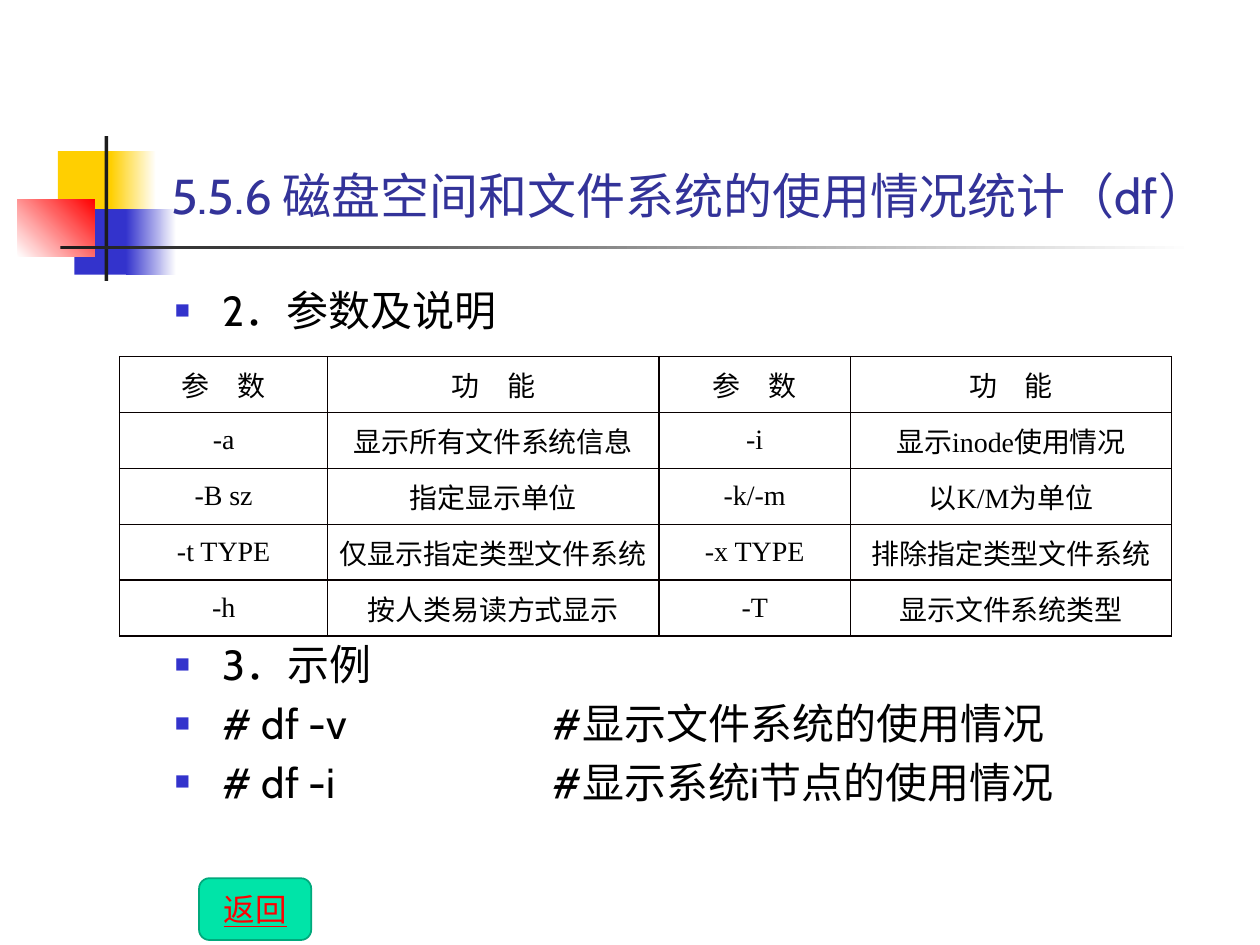
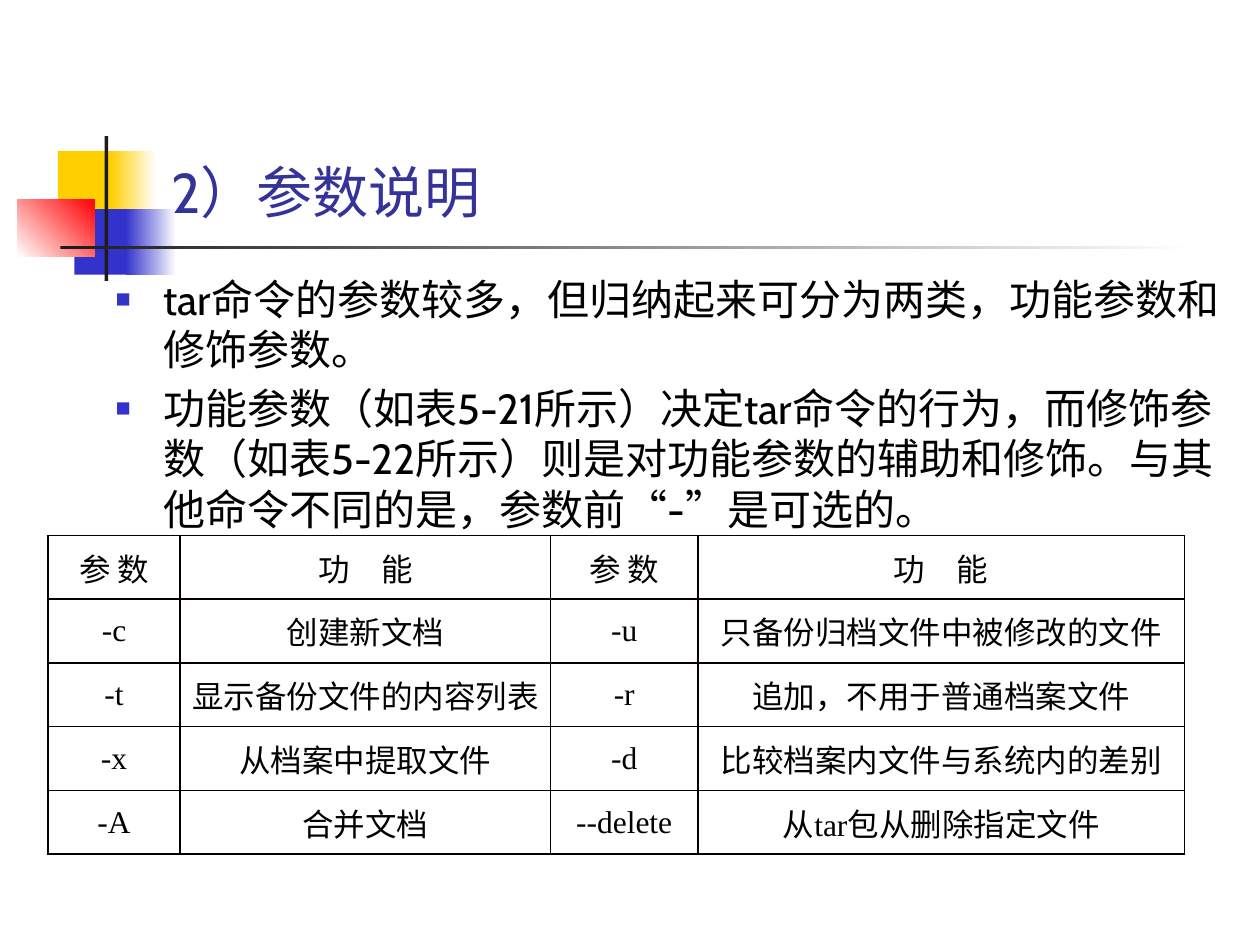
from dataclasses import dataclass
from itertools import groupby

from lxml.etree import SubElement
from pptx import Presentation
from pptx.dml.color import RGBColor
from pptx.enum.shapes import MSO_SHAPE
from pptx.enum.text import MSO_ANCHOR, PP_ALIGN
from pptx.oxml.ns import qn
from pptx.util import Inches, Pt


@dataclass(frozen=True)
class Theme:
    """Colours, fonts and type sizes of the deck."""
    gold: str = "FFCF01"
    blue: str = "3333CC"
    red: str = "FF0000"
    dark: str = "1C1C1C"
    white: str = "FFFFFF"
    navy: str = "333399"
    black: str = "000000"
    grid: str = "080000"
    mint: str = "00E4A8"
    green: str = "00A97C"
    sans: str = "Cabin"
    serif: str = "Times New Roman"
    han: str = "Noto Sans CJK SC"
    body: float = 24
    link: float = 18
    gap: float = 4.8


T = Theme()


def rgb(code):
    """Turn a hex code into a colour."""
    return RGBColor.from_string(code)


def inch(box):
    """Turn a box of numbers into lengths."""
    return [Inches(side) for side in box]


def write(para, text, size=T.body, font=T.sans, color=T.black, line=False, align=None):
    """Add a run of text in the given format."""
    run = para.add_run()
    run.text = text
    run.font.size = Pt(size)
    run.font.name = font
    run.font.color.rgb = rgb(color)
    if line:
        run.font.underline = True
    if align is not None:
        para.alignment = align
    SubElement(run.font._element, qn("a:ea"), typeface=T.han)


def block(slide, box, kind, *tints, angle=0, edge=None):
    """Draw a shape with a plain or a graded fill."""
    shape = slide.shapes.add_shape(kind, *inch(box))
    shape.shadow.inherit = False
    if len(tints) == 1:
        shape.fill.solid()
        shape.fill.fore_color.rgb = rgb(tints[0])
    else:
        shape.fill.gradient()
        shape.fill.gradient_angle = angle
        for stop, tint in zip(shape.fill.gradient_stops, tints):
            stop.color.rgb = rgb(tint)
    if edge:
        shape.line.color.rgb = rgb(edge)
        shape.line.width = Pt(1)
    else:
        shape.line.fill.background()
    return shape


def motif(slide, box):
    """Draw the coloured squares and the crossing rules."""
    left, top, width, height = box
    parts = [
        ((0.32, 0.12, 0.48, 0.52), [T.gold], 0),
        ((0.74, 0.12, 0.36, 0.52), [T.gold, T.white], 0),
        ((0.45, 0.58, 0.46, 0.52), [T.blue], 0),
        ((0.86, 0.58, 0.4, 0.52), [T.blue, T.white], 0),
        ((0, 0.5, 0.61, 0.46), [T.white, T.red], 45),
        ((0.69, 0, 0.03, height), [T.dark], 0),
        ((0.34, 0.87, width - 0.34, 0.03), [T.dark, T.white], 0),
    ]
    for (x, y, w, h), tints, angle in parts:
        place = (left + x, top + y, w, h)
        block(slide, place, MSO_SHAPE.RECTANGLE, *tints, angle=angle)


def frame(slide, box, anchor=MSO_ANCHOR.TOP):
    """Add a wrapping text box and return its frame."""
    area = slide.shapes.add_textbox(*inch(box)).text_frame
    area.word_wrap = True
    area.vertical_anchor = anchor
    return area


def title(slide, box, text, size):
    """Set the slide title on the base of its box."""
    area = frame(slide, box, MSO_ANCHOR.BOTTOM)
    write(area.paragraphs[0], text, size=size, color=T.navy)


def bullet(para, indent=0.38, stop=3):
    """Give a paragraph a square bullet and a tab stop."""
    props = para._p.get_or_add_pPr()
    props.set("marL", str(Inches(indent)))
    props.set("indent", str(-Inches(indent)))
    tint = SubElement(props, qn("a:buClr"))
    SubElement(tint, qn("a:srgbClr"), val=T.blue)
    SubElement(props, qn("a:buSzPct"), val="60000")
    SubElement(props, qn("a:buFont"), typeface=T.serif)
    SubElement(props, qn("a:buChar"), char="■")
    tabs = SubElement(props, qn("a:tabLst"))
    SubElement(tabs, qn("a:tab"), pos=str(Inches(stop)), algn="l")


def points(slide, box, lines):
    """Fill a box with bulleted lines."""
    area = frame(slide, box)
    for at, text in enumerate(lines):
        para = area.add_paragraph() if at else area.paragraphs[0]
        bullet(para)
        if at:
            para.space_before = Pt(T.gap)
        write(para, text)


def border(cell):
    """Rule all four sides of a cell and clear its fill."""
    props = cell._tc.get_or_add_tcPr()
    for side in "LRTB":
        rule = SubElement(props, qn(f"a:ln{side}"), w=str(Pt(1)))
        fill = SubElement(rule, qn("a:solidFill"))
        SubElement(fill, qn("a:srgbClr"), val=T.grid)
    cell.fill.background()


def grid(slide, box, cols, rows, size):
    """Build a ruled table with equal rows."""
    shape = slide.shapes.add_table(len(rows), len(cols), *inch(box))
    table = shape.table
    table.first_row = table.horz_banding = False
    for col, width in zip(table.columns, cols):
        col.width = Inches(width)
    for row, texts in zip(table.rows, rows):
        row.height = Inches(box[3] / len(rows))
        for cell, text in zip(row.cells, texts):
            border(cell)
            cell.vertical_anchor = MSO_ANCHOR.MIDDLE
            cell.margin_left = cell.margin_right = Inches(0.07)
            cell.margin_top = cell.margin_bottom = 0
            for plain, part in groupby(text, str.isascii):
                write(cell.text_frame.paragraphs[0], "".join(part), size=size,
                      font=T.serif if plain else T.han, align=PP_ALIGN.CENTER)


def button(slide, box, text):
    """Draw the rounded return button."""
    shape = block(slide, box, MSO_SHAPE.ROUNDED_RECTANGLE, T.mint, edge=T.green)
    area = shape.text_frame
    area.vertical_anchor = MSO_ANCHOR.MIDDLE
    write(area.paragraphs[0], text, size=T.link, color=T.red, line=True,
          align=PP_ALIGN.CENTER)


def start(deck, text, size):
    """Add a slide with the shared motif and title."""
    slide = deck.slides.add_slide(deck.slide_layouts[6])
    motif(slide, (0.14, 1.08, 9.34, 1.15))
    title(slide, (1.26, 0.23, 8.52, 1.6), text, size)
    return slide


def disk(deck):
    """Build the slide on df."""
    slide = start(deck, "5.5.6\u2002磁盘空间和文件系统的使用情况统计（df）".replace("\u2002", " "), 28)
    points(slide, (1.29, 2.21, 8.5, 0.5), ["2．参数及说明"])
    points(slide, (1.29, 5.02, 8.5, 1.69), [
        "3．示例",
        "# df -v\t#显示文件系统的使用情况",
        "# df -i\t#显示系统i节点的使用情况",
    ])
    button(slide, (1.58, 6.97, 0.89, 0.49), "返回")
    grid(slide, (0.95, 2.83, 8.35, 2.22), (1.65, 2.63, 1.52, 2.55), [
        ("参　数", "功　能") * 2,
        ("-a", "显示所有文件系统信息", "-i", "显示inode使用情况"),
        ("-B sz", "指定显示单位", "-k/-m", "以K/M为单位"),
        ("-t TYPE", "仅显示指定类型文件系统", "-x TYPE", "排除指定类型文件系统"),
        ("-h", "按人类易读方式显示", "-T", "显示文件系统类型"),
    ], 16)


def archive(deck):
    """Build the slide on tar."""
    slide = start(deck, "2）参数说明", 32)
    points(slide, (0.82, 2.12, 8.98, 4.59), [
        "tar命令的参数较多，但归纳起来可分为两类，功能参数和修饰参数。",
        "功能参数（如表5-21所示）决定tar命令的行为，而修饰参数（如表5-22所示）"
        "则是对功能参数的辅助和修饰。与其他命令不同的是，参数前“-”是可选的。",
    ])
    grid(slide, (0.38, 4.25, 9.02, 2.53), (1.05, 2.94, 1.17, 3.86), [
        ("参 数", "功　能") * 2,
        ("-c", "创建新文档", "-u", "只备份归档文件中被修改的文件"),
        ("-t", "显示备份文件的内容列表", "-r", "追加，不用于普通档案文件"),
        ("-x", "从档案中提取文件", "-d", "比较档案内文件与系统内的差别"),
        ("-A", "合并文档", "--delete", "从tar包从删除指定文件"),
    ], 18)


def main():
    """Build and save the deck."""
    deck = Presentation()
    deck.slide_width, deck.slide_height = inch((10, 7.5))
    disk(deck)
    archive(deck)
    deck.save("out.pptx")


if __name__ == "__main__":
    main()
